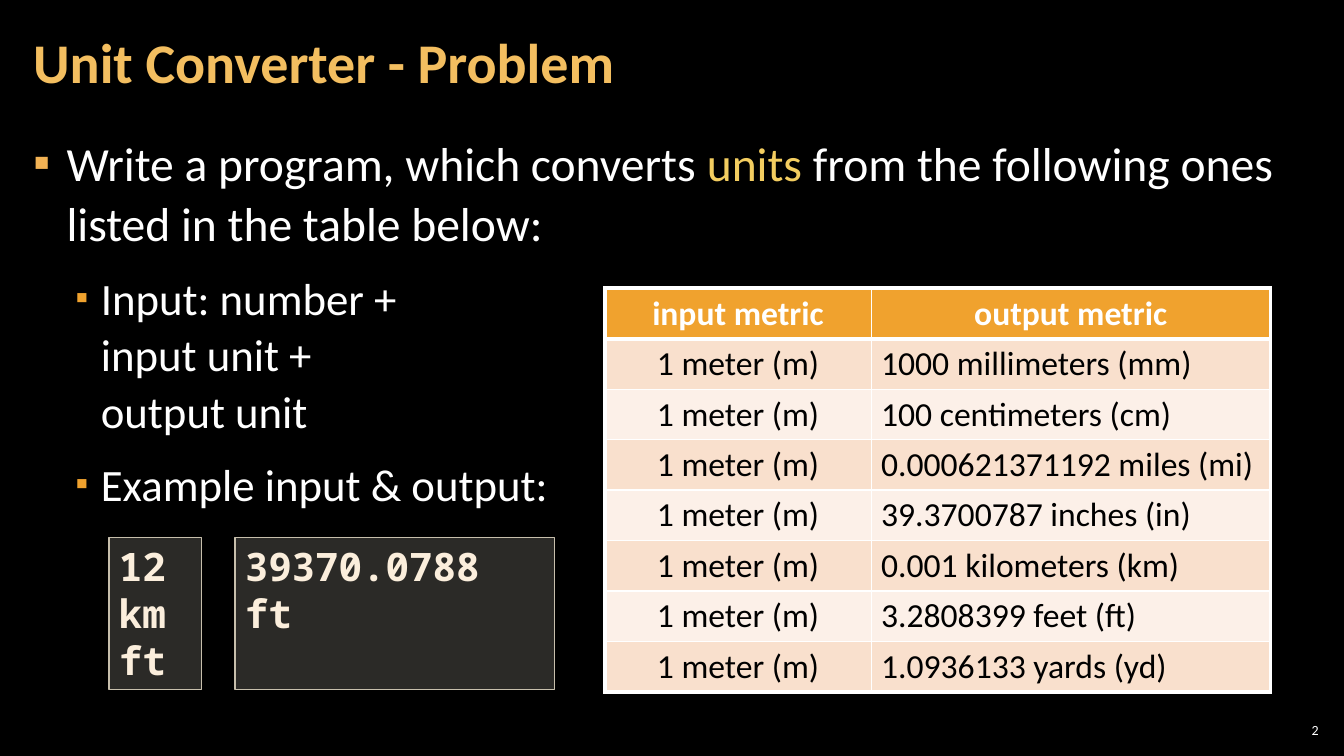
from pptx import Presentation
from pptx.util import Inches, Pt
from pptx.dml.color import RGBColor as RGB
from pptx.enum.shapes import MSO_SHAPE as Shape
from pptx.enum.text import PP_ALIGN as Align, MSO_ANCHOR as Anchor
from pptx.oxml.ns import qn
from lxml.etree import SubElement as Sub, Element

TITLE = "Unit Converter - Problem"
NUMBER = "2"
BODY = [
    (0, ["Write a program, which converts ", "units",
         " from the following ones listed in the table below:"]),
    (1, ["Input: number +\vinput unit +\voutput unit"]),
    (1, ["Example input & output:"]),
]
HEAD = ("input metric", "output metric")
SOURCE = "1 meter (m)"
UNITS = [
    "1000 millimeters (mm)",
    "100 centimeters (cm)",
    "0.000621371192 miles (mi)",
    "39.3700787 inches (in)",
    "0.001 kilometers (km)",
    "3.2808399 feet (ft)",
    "1.0936133 yards (yd)",
]
SAMPLES = [(1.08, 0.92, ["12", "km", "ft"]), (2.33, 3.17, ["39370.0788 ft"])]
COLS = (2.64, 3.96)
ROW = 0.5

THEME = {
    "font": "Calibri", "mono": "Noto Sans Mono",
    "back": "000000", "text": "FFFFFF", "title": "F3BE60", "mark": "F3CD60",
    "head": "F0A22E", "bands": ("F9E0CD", "FCF0E8"), "cell": "000000",
    "grid": "FFFFFF", "thick": 3, "thin": 1,
    "box": "D9D5C7", "alpha": 20, "edge": "C7BFAC", "code": "FBEEDC",
    "title_pt": 40, "cell_pt": 24, "code_pt": 28, "num_pt": 10,
}
LEVELS = [
    {"size": 34, "left": 0.33, "hang": 0.33, "bullet": "F2B254", "scale": 100},
    {"size": 32, "left": 0.67, "hang": 0.25, "bullet": "F0A22E", "scale": 80},
]


def style(para, size, color, bold=False, face=THEME["font"]):
    font = para.font
    font.name, font.size, font.bold = face, Pt(size), bold
    font.color.rgb = RGB.from_string(color)


def text_box(slide, left, top, width, height, side, anchor):
    box = slide.shapes.add_textbox(*map(Inches, (left, top, width, height)))
    frame = box.text_frame
    frame.word_wrap = True
    frame.vertical_anchor = anchor
    frame.margin_left = frame.margin_right = Inches(side)
    frame.margin_top = frame.margin_bottom = Inches(0.04)
    return frame


def add_para(frame, index):
    return frame.add_paragraph() if index else frame.paragraphs[0]


def bullet(para, level):
    props = para._p.get_or_add_pPr()
    props.set("marL", str(Inches(level["left"])))
    props.set("indent", str(-Inches(level["hang"])))
    color = Sub(props, qn("a:buClr"))
    Sub(color, qn("a:srgbClr"), val=level["bullet"])
    Sub(props, qn("a:buSzPct"), val=str(level["scale"] * 1000))
    Sub(props, qn("a:buFont"), typeface=THEME["font"])
    Sub(props, qn("a:buChar"), char="▪")


def add_body(slide):
    frame = text_box(slide, 0.21, 1.26, 12.91, 6.09, 0.12, Anchor.TOP)
    for i, (depth, parts) in enumerate(BODY):
        para, level = add_para(frame, i), LEVELS[depth]
        if len(parts) == 1:
            para.text = parts[0]
        else:
            for part in parts:
                para.add_run().text = part
            para.runs[1].font.color.rgb = RGB.from_string(THEME["mark"])
        bullet(para, level)
        para.level = depth
        para.line_spacing = 1.05
        para.space_before = Pt(6 if i else 0)
        para.space_after = Pt(6)
        style(para, level["size"], THEME["text"])


def borders(cell, widths):
    props = cell._tc.get_or_add_tcPr()
    for i, (side, width) in enumerate(zip("LRTB", widths)):
        line = Element(qn("a:ln" + side), w=str(Pt(width)))
        fill = Sub(line, qn("a:solidFill"))
        Sub(fill, qn("a:srgbClr"), val=THEME["grid"])
        props.insert(i, line)


def add_grid(slide):
    rows = [HEAD] + [(SOURCE, unit) for unit in UNITS]
    count = len(rows)
    table = slide.shapes.add_table(
        count, len(COLS), Inches(6), Inches(2.86),
        Inches(sum(COLS)), Inches(ROW * count)).table
    for col, width in zip(table.columns, COLS):
        col.width = Inches(width)
    thick, thin = THEME["thick"], THEME["thin"]
    for r, row in enumerate(rows):
        fill = THEME["bands"][(r - 1) % 2] if r else THEME["head"]
        for c, words in enumerate(row):
            cell = table.cell(r, c)
            cell.fill.solid()
            cell.fill.fore_color.rgb = RGB.from_string(fill)
            edges = (c == 0, c == len(COLS) - 1, r < 2, r in (0, count - 1))
            borders(cell, [thick if edge else thin for edge in edges])
            para = cell.text_frame.paragraphs[0]
            para.text = words
            para.alignment = Align.LEFT if r and c else Align.CENTER
            style(para, THEME["cell_pt"], THEME["cell" if r else "text"], r == 0)


def add_sample(slide, left, width, lines):
    box = slide.shapes.add_shape(
        Shape.RECTANGLE, *map(Inches, (left, 5.33, width, 1.51)))
    box.shadow.inherit = False
    box.fill.solid()
    box.fill.fore_color.rgb = RGB.from_string(THEME["box"])
    tint = box._element.spPr.find(qn("a:solidFill"))[0]
    Sub(tint, qn("a:alpha"), val=str(THEME["alpha"] * 1000))
    box.line.color.rgb = RGB.from_string(THEME["edge"])
    box.line.width = Pt(1)
    frame = box.text_frame
    frame.word_wrap = True
    frame.vertical_anchor = Anchor.TOP
    for i, line in enumerate(lines):
        para = add_para(frame, i)
        para.text = line
        para.alignment = Align.LEFT
        style(para, THEME["code_pt"], THEME["code"], True, THEME["mono"])


def main():
    deck = Presentation()
    deck.slide_width, deck.slide_height = Inches(13.33), Inches(7.5)
    slide = deck.slides.add_slide(deck.slide_layouts[6])
    back = slide.background.fill
    back.solid()
    back.fore_color.rgb = RGB.from_string(THEME["back"])

    para = text_box(slide, 12.65, 7.14, 0.47, 0.21, 0.04, Anchor.MIDDLE).paragraphs[0]
    para.text = NUMBER
    para.alignment = Align.RIGHT
    style(para, THEME["num_pt"], THEME["text"])

    add_body(slide)

    para = text_box(slide, 0.21, 0.04, 10.47, 1.21, 0.12, Anchor.MIDDLE).paragraphs[0]
    para.text = TITLE
    para.line_spacing = 0.9
    style(para, THEME["title_pt"], THEME["title"], True)

    add_grid(slide)
    for sample in SAMPLES:
        add_sample(slide, *sample)
    deck.save("out.pptx")


if __name__ == "__main__":
    main()
